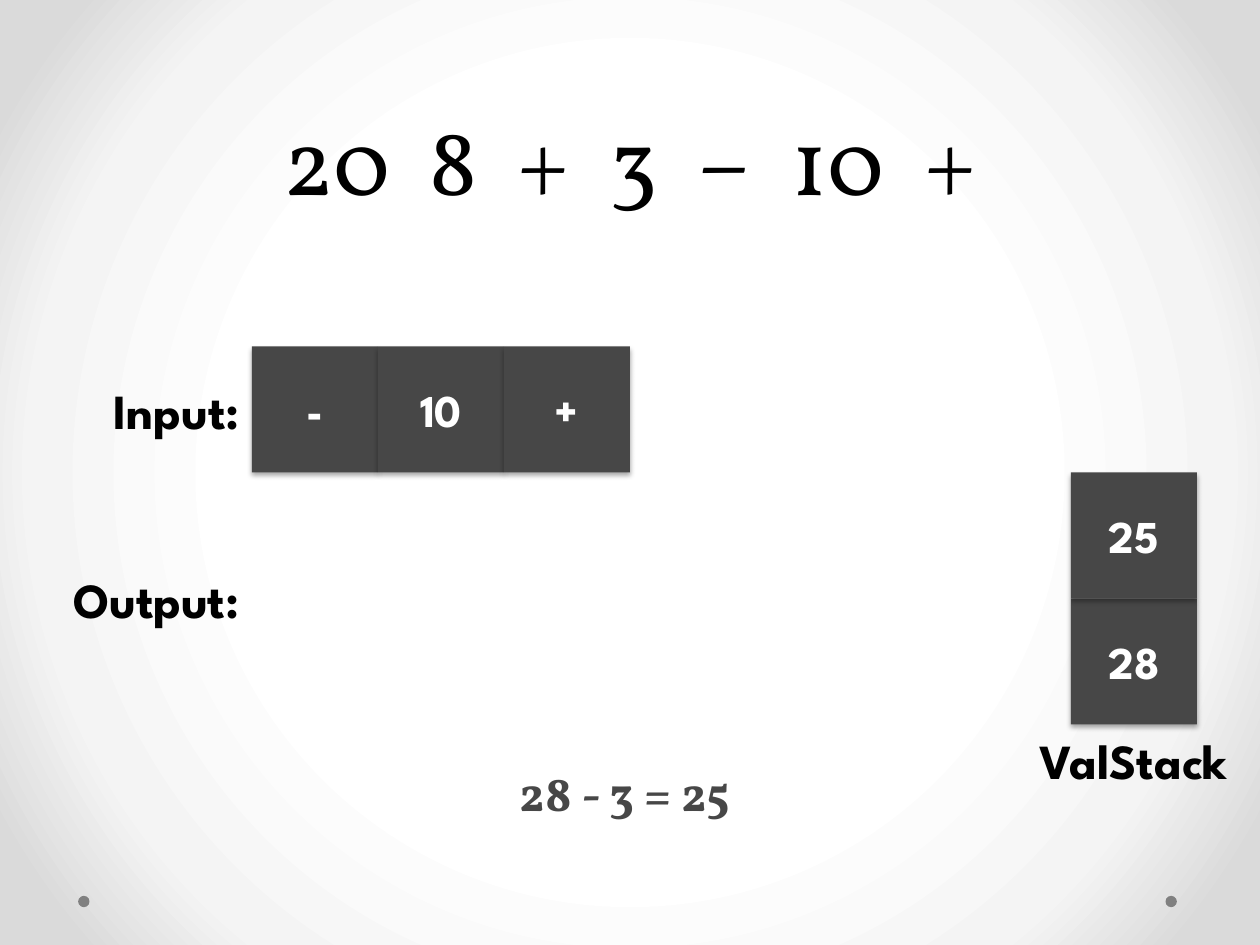
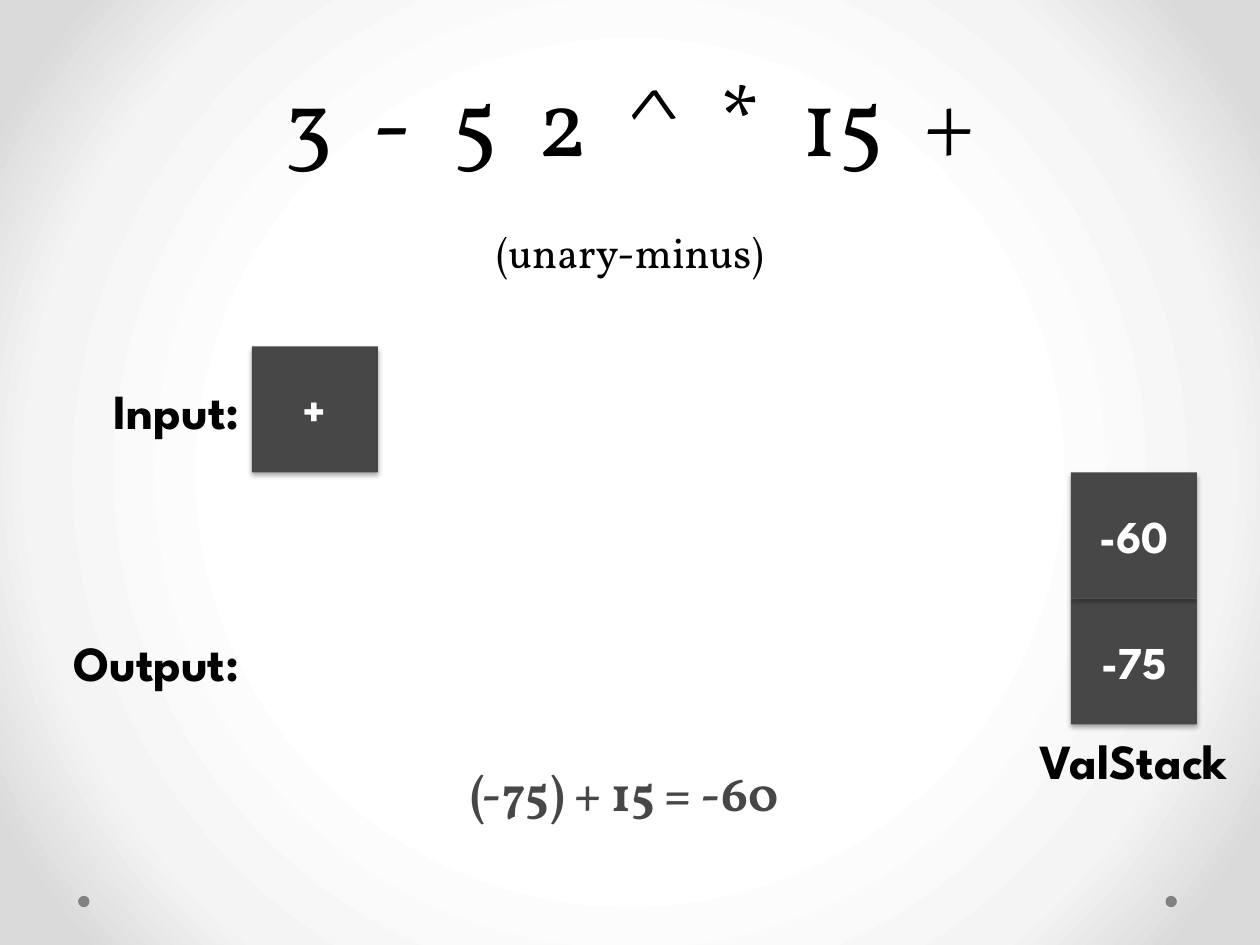
from pptx import Presentation
from pptx.dml.color import RGBColor
from pptx.enum.shapes import MSO_SHAPE
from pptx.enum.text import MSO_ANCHOR, PP_ALIGN
from pptx.oxml import parse_xml
from pptx.oxml.ns import nsdecls
from pptx.util import Inches, Pt

COLORS = {
    "text": "000000",
    "cell": "474747",
    "cell_text": "FFFFFF",
    "dot": "808080",
    "bg_center": "FFFFFF",
    "bg_middle": "F4F4F4",
    "bg_edge": "DADADA",
}
SANS, SERIF = "League Spartan", "Vollkorn"
CELL = 1  # side of a square, inches
INPUT_LEFT, INPUT_TOP = 2, 2.75
STACK_LEFT, STACK_BOTTOM = 8.5, 5.75


def rgb(name):
    return RGBColor.from_string(COLORS[name])


def set_font(font, name, size, color, bold=False):
    font.name, font.size, font.bold = name, Pt(size), bold
    font.color.rgb = rgb(color)


def add_background(slide):
    stops = "".join(
        f'<a:gs pos="{pos}000"><a:srgbClr val="{COLORS[name]}"/></a:gs>'
        for pos, name in ((50, "bg_center"), (76, "bg_middle"), (92, "bg_edge")))
    slide.element.cSld.insert(0, parse_xml(
        f'<p:bg {nsdecls("p", "a")}><p:bgPr><a:gradFill rotWithShape="1">'
        f'<a:gsLst>{stops}</a:gsLst><a:path path="circle">'
        '<a:fillToRect l="50000" t="50000" r="50000" b="50000"/></a:path>'
        '</a:gradFill><a:effectLst/></p:bgPr></p:bg>'))


def add_solid(slide, kind, left, top, side, color):
    sp = slide.shapes.add_shape(
        kind, Inches(left), Inches(top), Inches(side), Inches(side))
    sp.shadow.inherit = False
    sp.fill.solid()
    sp.fill.fore_color.rgb = rgb(color)
    sp.line.fill.background()
    return sp


def add_cell(slide, text, left, top):
    sp = add_solid(slide, MSO_SHAPE.RECTANGLE, left, top, CELL, "cell")
    # Soft shadow straight below the square
    sp.element.spPr.effectLst.append(parse_xml(
        f'<a:outerShdw {nsdecls("a")} blurRad="{Pt(3.1)}" dist="{Pt(1.8)}" '
        'dir="5400000" rotWithShape="0"><a:srgbClr val="000000">'
        '<a:alpha val="35000"/></a:srgbClr></a:outerShdw>')
    ) if hasattr(sp.element.spPr, "effectLst") else None
    tf = sp.text_frame
    tf.vertical_anchor = MSO_ANCHOR.MIDDLE
    p = tf.paragraphs[0]
    p.text, p.alignment = text, PP_ALIGN.CENTER
    set_font(p.font, SANS, 26, "cell_text", True)


def add_textbox(slide, left, top, width, height, align, anchor):
    sp = slide.shapes.add_textbox(
        Inches(left), Inches(top), Inches(width), Inches(height))
    tf = sp.text_frame
    tf.word_wrap = True
    tf.vertical_anchor = anchor
    p = tf.paragraphs[0]
    p.alignment = align
    return p


def add_row_label(slide, text, top):
    p = add_textbox(slide, 0, top, 2, CELL, PP_ALIGN.RIGHT, MSO_ANCHOR.MIDDLE)
    p.text = text
    set_font(p.font, SANS, 28, "text", True)


def add_caption(slide, text, left, top, width, font, color):
    p = add_textbox(slide, left, top, width, 0.57, PP_ALIGN.CENTER, MSO_ANCHOR.TOP)
    p.text = text
    set_font(p.font, font, 28, color, True)


def add_title(slide, expression, top, note=None):
    p = add_textbox(slide, 0.5, top, 9, 1.75, PP_ALIGN.CENTER, MSO_ANCHOR.BOTTOM)
    p.line_spacing = Pt(58)

    def add_run(text, size=54):
        r = p.add_run()
        r.text = text
        set_font(r.font, SERIF, size, "text")
        return r

    # Widened spaces set the tokens apart
    for i, token in enumerate(expression.split()):
        if i:
            add_run(" ")._r.get_or_add_rPr().set("spc", "1200")
        add_run(token)
    if note:
        p.add_line_break()
        add_run(note, 24)


def add_step(prs, expression, inputs, stack, step, title_top, output_top, note=None):
    """One evaluation step; stack is listed from the bottom up."""
    slide = prs.slides.add_slide(prs.slide_layouts[6])
    add_background(slide)
    for left in (0.62, 9.25):
        add_solid(slide, MSO_SHAPE.OVAL, left, 7.11, 0.09, "dot")

    add_title(slide, expression, title_top, note)

    # Input queue and output row
    for i, token in enumerate(inputs):
        add_cell(slide, token, INPUT_LEFT + i * CELL, INPUT_TOP)
    add_row_label(slide, "Input:", INPUT_TOP)
    add_row_label(slide, "Output:", output_top)

    # Value stack
    for i, value in enumerate(stack, 1):
        add_cell(slide, value, STACK_LEFT, STACK_BOTTOM - i * CELL)
    add_caption(slide, "ValStack", 8, STACK_BOTTOM, 2, SANS, "text")

    add_caption(slide, step, 2.17, 6, 5.58, SERIF, "cell")


def main():
    prs = Presentation()
    prs.slide_width, prs.slide_height = Inches(10), Inches(7.5)
    add_step(prs, "20 8 + 3 – 10 +", ["-", "10", "+"], ["28", "25"],
             "28 - 3 = 25", title_top=0, output_top=4.25)
    add_step(prs, "3 - 5 2 ^ * 15 +", ["+"], ["-75", "-60"],
             "(-75) + 15 = -60", title_top=0.5, output_top=4.75,
             note="(unary-minus)")
    prs.save("out.pptx")


if __name__ == "__main__":
    main()
